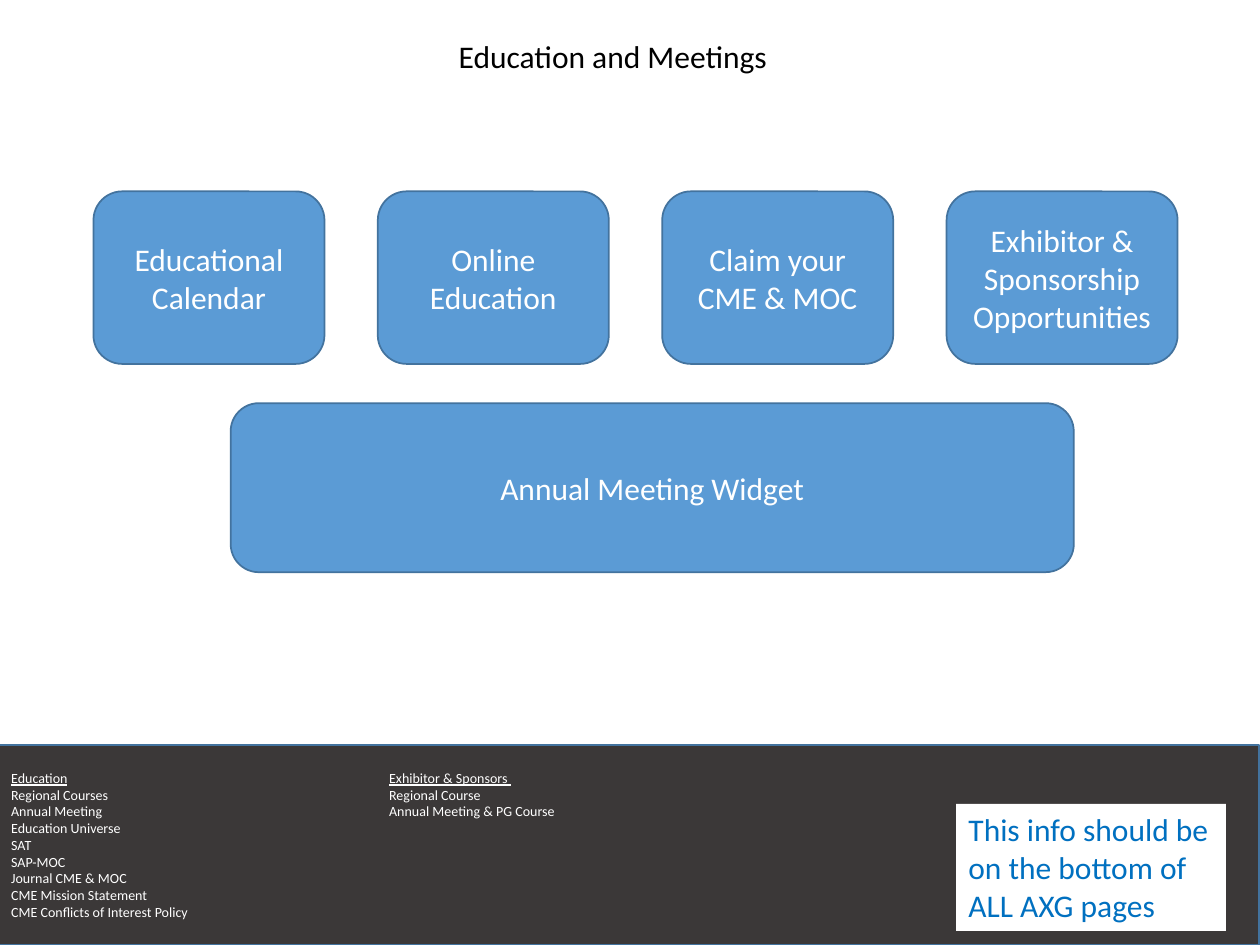
from lxml import etree
from pptx import Presentation
from pptx.dml.color import RGBColor
from pptx.enum import shapes, text
from pptx.oxml import ns
from pptx.util import Pt

BLACK = RGBColor(0x00, 0x00, 0x00)
WHITE = RGBColor(0xFF, 0xFF, 0xFF)
BLUE = RGBColor(0x5B, 0x9B, 0xD5)
OUTLINE = RGBColor(0x43, 0x73, 0x9E)
CHARCOAL = RGBColor(0x3B, 0x38, 0x38)
NOTE_BLUE = RGBColor(0x00, 0x70, 0xC0)
ROUNDED = shapes.MSO_SHAPE.ROUNDED_RECTANGLE
RECTANGLE = shapes.MSO_SHAPE.RECTANGLE
LEFT, CENTER = text.PP_ALIGN.LEFT, text.PP_ALIGN.CENTER


def add_text(paragraph, content, alignment, **font_values):
    paragraph.alignment = alignment
    run = paragraph.add_run()
    run.text = content
    color = font_values.pop("color")
    for name, value in {"name": "Calibri", **font_values}.items():
        setattr(run.font, name, value)
    run.font.color.rgb = color


def add_box(kind, left, top, width, height, fill, line=OUTLINE):
    shape = slide.shapes.add_shape(kind, Pt(left), Pt(top), Pt(width), Pt(height))
    shape.shadow.inherit = False
    shape.fill.solid()
    shape.fill.fore_color.rgb = fill
    if line is None:
        shape.line.fill.background()
    else:
        shape.line.color.rgb = line
        shape.line.width = Pt(1)
    shape.text_frame.word_wrap = True
    shape.text_frame.vertical_anchor = text.MSO_ANCHOR.MIDDLE
    return shape


presentation = Presentation()
presentation.slide_width, presentation.slide_height = Pt(720), Pt(540)
slide = presentation.slides.add_slide(presentation.slide_layouts[5])

# Title
title = slide.shapes.title
title_format = {"left": 80.6, "top": 17.3, "width": 539.3, "height": 29.1}
for name, value in title_format.items():
    setattr(title, name, Pt(value))
title.text_frame.vertical_anchor = text.MSO_ANCHOR.TOP
title.text_frame.auto_size = text.MSO_AUTO_SIZE.NONE
add_text(title.text_frame.paragraphs[0], "Education and Meetings", CENTER,
         size=Pt(18), color=BLACK)

# Row of four buttons, then the wide widget
labels = ["Educational Calendar", "Online Education", "Claim your CME & MOC",
          "Exhibitor & Sponsorship Opportunities"]
buttons = [(label, 53.4 + 162.5 * index, 109.4, 132, 98.6)
           for index, label in enumerate(labels)]
buttons.append(("Annual Meeting Widget", 131.8, 230.4, 481.8, 96.6))
for label, *bounds in buttons:
    button = add_box(ROUNDED, *bounds, BLUE)
    add_text(button.text_frame.paragraphs[0], label, CENTER, size=Pt(18), color=WHITE)

# Footer with two tabbed columns of links
footer_rows = [
    ("Education", "Exhibitor & Sponsors "),
    ("Regional Courses", "Regional Course"),
    ("Annual Meeting", "Annual Meeting & PG Course"),
    ("Education Universe",),
    ("SAT",),
    ("SAP-MOC",),
    ("Journal CME & MOC",),
    ("CME Mission Statement",),
    ("CME Conflicts of Interest Policy",),
]
footer = add_box(RECTANGLE, -0.7, 425.5, 720, 114.5, CHARCOAL)
for index, row in enumerate(footer_rows):
    frame = footer.text_frame
    paragraph = frame.add_paragraph() if index else frame.paragraphs[0]
    for column, entry in enumerate(row):
        if column:
            add_text(paragraph, "\t", LEFT, size=Pt(8), color=WHITE)
        add_text(paragraph, entry, LEFT, size=Pt(8), color=WHITE, underline=index == 0)
    if len(row) > 1:
        properties = paragraph._p.get_or_add_pPr()
        tabs = etree.SubElement(properties, ns.qn("a:tabLst"))
        etree.SubElement(tabs, ns.qn("a:tab"), pos=str(Pt(216)), algn="l")

# Note on the footer
note = add_box(RECTANGLE, 546.3, 459.3, 154.3, 72.7, WHITE, line=None)
note.text_frame.vertical_anchor = text.MSO_ANCHOR.TOP
add_text(note.text_frame.paragraphs[0],
         "This info should be on the bottom of ALL AXG pages", LEFT,
         size=Pt(18), color=NOTE_BLUE)

presentation.save("out.pptx")
